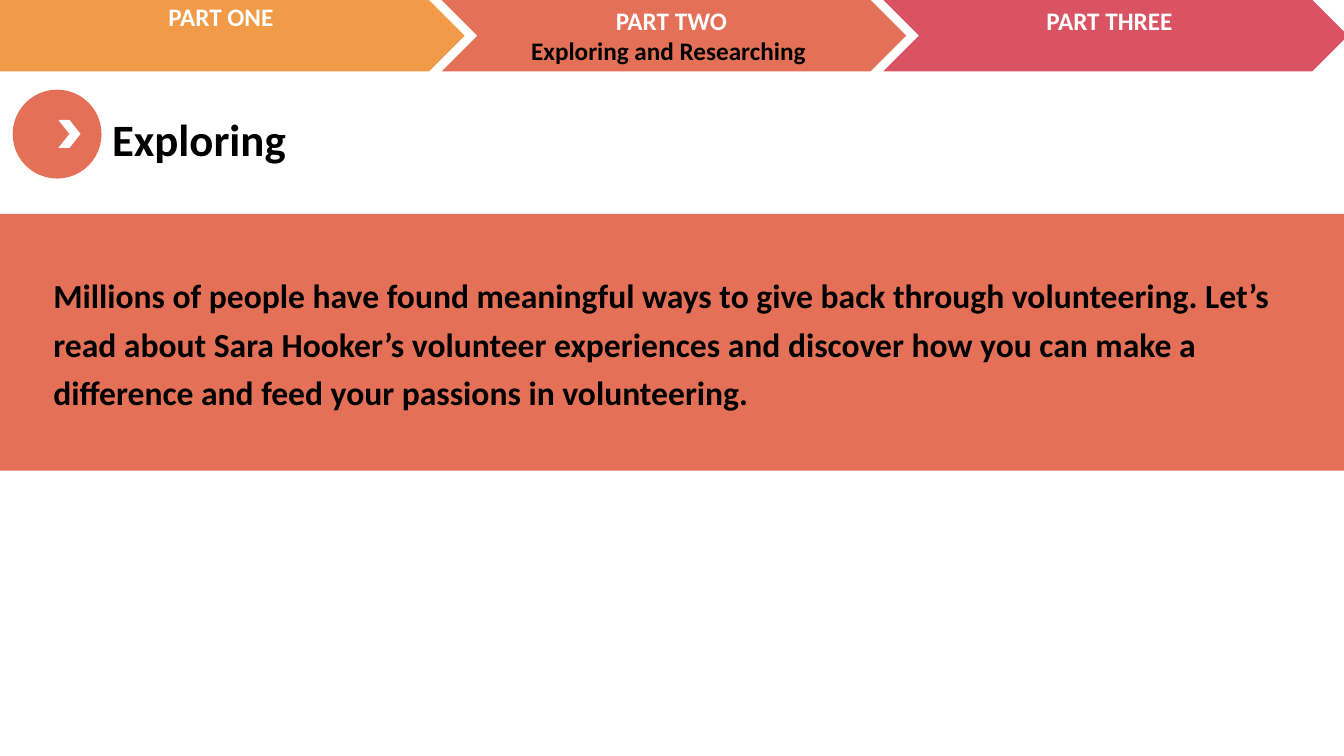
from pptx import Presentation
from pptx import util as u
from pptx.dml import color
from pptx.enum import shapes, text
from pptx.oxml import ns, xmlchemy

COLOURS = {
    "orange": "F19B48",
    "coral": "E47057",
    "rose": "DA5362",
    "white": "FFFFFF",
    "black": "000000",
}
PART_STEP = 11.13
HEADER_HEIGHT = 1.8

presentation = Presentation()
presentation.slide_width = u.Cm(33.87)
presentation.slide_height = u.Cm(19.05)
slide = presentation.slides.add_slide(presentation.slide_layouts[1])


def add_filled(kind, box, colour):
    shape = slide.shapes.add_shape(kind, *[u.Cm(value) for value in box])
    shape.shadow.inherit = False
    shape.fill.solid()
    shape.fill.fore_color.rgb = color.RGBColor.from_string(COLOURS[colour])
    shape.line.fill.background()
    return shape


def write_text(shape, box, lines, size, alignment, spacing=1.0):
    for name, value in zip(("left", "top", "width", "height"), box):
        setattr(shape, name, u.Cm(value))
    frame = shape.text_frame
    frame_format = {
        "word_wrap": True,
        "auto_size": text.MSO_AUTO_SIZE.NONE,
        "vertical_anchor": text.MSO_ANCHOR.TOP,
    }
    for name, value in frame_format.items():
        setattr(frame, name, value)
    paragraph_format = {
        "alignment": alignment,
        "line_spacing": spacing,
        "space_before": u.Pt(0),
    }
    font_format = {"name": "Calibri", "size": u.Pt(size), "bold": True}
    for index, (wording, colour) in enumerate(lines):
        paragraph = frame.add_paragraph() if index else frame.paragraphs[0]
        for name, value in paragraph_format.items():
            setattr(paragraph, name, value)
        run = paragraph.add_run()
        run.text = wording
        for name, value in font_format.items():
            setattr(run.font, name, value)
        run.font.color.rgb = color.RGBColor.from_string(COLOURS[colour])


# Coral band, running past both slide edges
band = add_filled(shapes.MSO_SHAPE.ROUNDED_RECTANGLE, (-1.17, 5.39, 36.22, 6.47), "coral")
band.adjustments[0] = 0.076

# Header arrows, the first one starting off the left edge
chevron = shapes.MSO_SHAPE.CHEVRON
for index, colour in ((1, "coral"), (2, "rose")):
    add_filled(chevron, (index * PART_STEP, 0, 11.71, HEADER_HEIGHT), colour)
add_filled(chevron, (-1.55, 0, 13.26, HEADER_HEIGHT), "orange")

# Round marker beside the title
add_filled(shapes.MSO_SHAPE.OVAL, (0.32, 2.26, 2.24, 2.24), "coral")
add_filled(chevron, (1.47, 3.02, 0.56, 0.71), "white")

# Title and body, brought in front of the band
title, body = slide.placeholders
for placeholder in (title, body):
    slide.shapes.element.append(placeholder.element)
left = text.PP_ALIGN.LEFT
write_text(title, (2.57, 2.69, 12.32, 1.63), [("Exploring", "black")], 32, left)
introduction = (
    "Millions of people have found meaningful ways to give back through volunteering. "
    "Let’s read about Sara Hooker’s volunteer experiences and discover how you can make "
    "a difference and feed your passions in volunteering."
)
write_text(body, (1.09, 6.6, 31.7, 3.86), [(introduction, "black")], 24, left, 1.2)

# Body text without bullet or indent
properties = body.text_frame.paragraphs[0]._p.get_or_add_pPr()
properties.set("marL", "0")
properties.set("indent", "0")
properties.append(xmlchemy.OxmlElement("a:buNone"))

# Header labels
parts = [
    ((-0.15, -0.08, 11.58, 1.02), [("PART ONE ", "white")]),
    ((PART_STEP, 0, 11.58, HEADER_HEIGHT),
     [("PART TWO", "white"), ("Exploring and Researching ", "black")]),
    ((22.17, 0, 11.58, 1.02), [("PART THREE", "white")]),
]
for box, lines in parts:
    label = slide.shapes.add_textbox(0, 0, 0, 0)
    write_text(label, box, lines, 18, text.PP_ALIGN.CENTER)

presentation.save("out.pptx")
